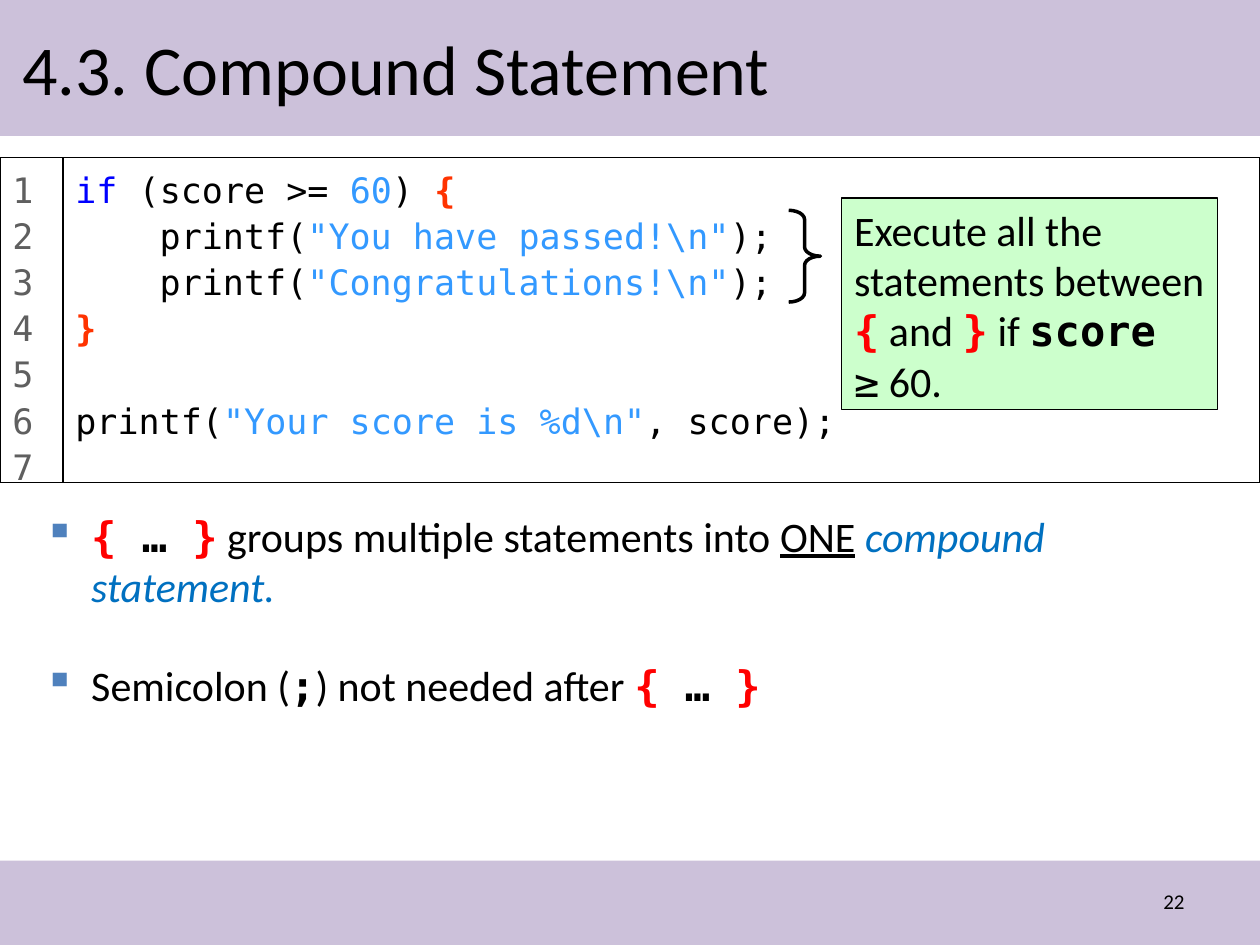
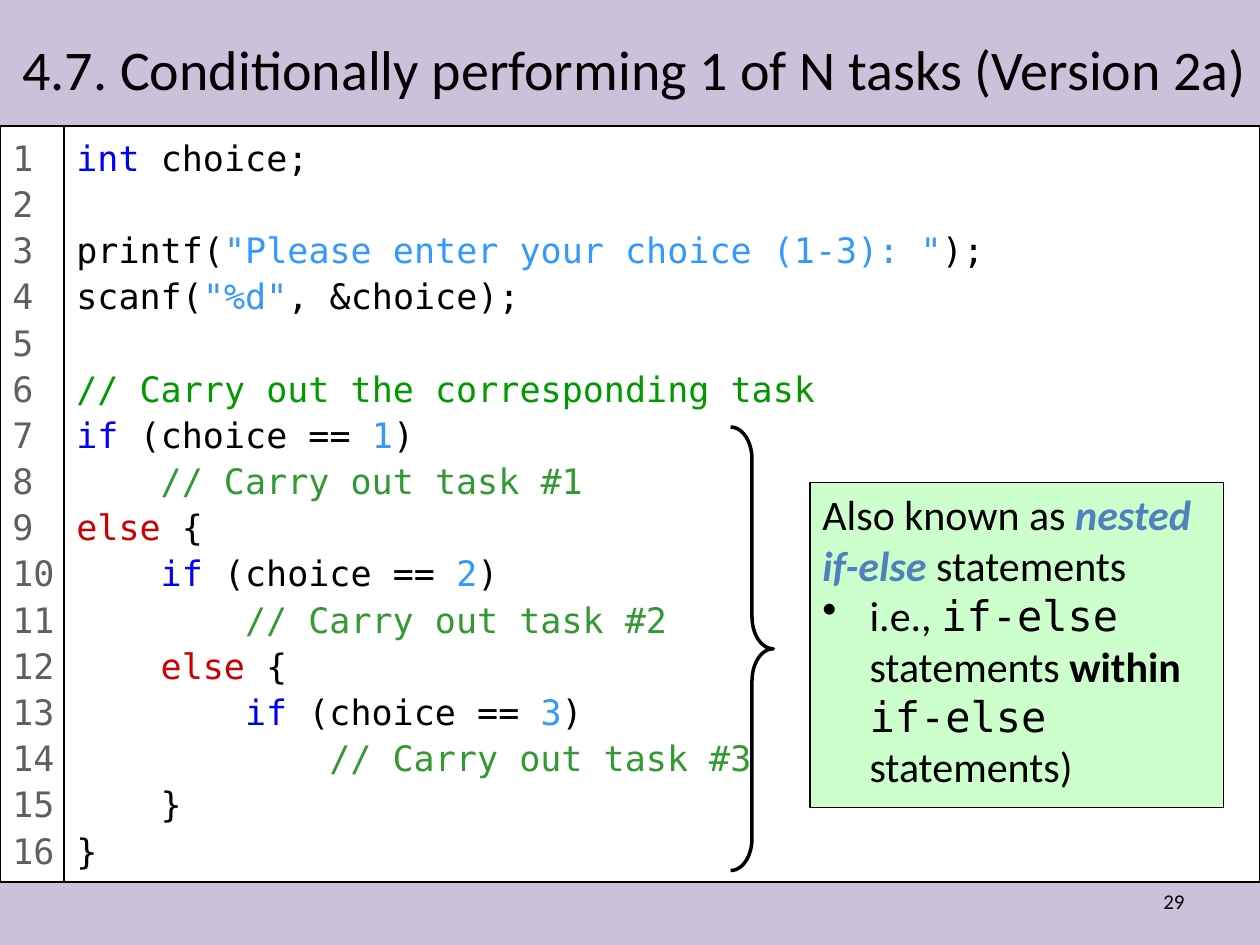
import dataclasses

import lxml.etree
import pptx
import pptx.dml.color
import pptx.enum.shapes
import pptx.enum.text
import pptx.oxml.ns
import pptx.util

Cm = pptx.util.Cm
Pt = pptx.util.Pt
Shape = pptx.enum.shapes.MSO_SHAPE
Align = pptx.enum.text.PP_ALIGN
Anchor = pptx.enum.text.MSO_ANCHOR


@dataclasses.dataclass(frozen=True)
class Theme:
    """Colours, fonts and type sizes shared by the slides."""
    ink: str = "000000"
    paper: str = "FFFFFF"
    band: str = "CCC1DA"
    callout: str = "CCFFCC"
    accent: str = "4F81BD"
    term: str = "0070C0"
    red: str = "FF0000"
    number: str = "5F5F5F"
    keyword: str = "0000FF"
    literal: str = "3399FF"
    brace: str = "FF3300"
    comment: str = "009900"
    task: str = "339933"
    branch: str = "CC0000"
    sans: str = "Calibri"
    mono: str = "DejaVu Sans Mono"
    title_size: float = 40
    long_title_size: float = 32
    body_size: float = 24
    code_size: float = 20
    footer_size: float = 12
    code_spacing: float = 1.1
    code_pitch: float = 26.4
    code_indent: float = 1.7
    hanging: float = 0.95


THEME = Theme()
MONO = {"font": THEME.mono}
MONO_BOLD = {"font": THEME.mono, "bold": True}
RED_BRACE = {"font": THEME.mono, "bold": True, "color": THEME.red}
KEYWORD = {"color": THEME.keyword}
LITERAL = {"color": THEME.literal}
CODE_BRACE = {"color": THEME.brace, "bold": True}
COMMENT = {"color": THEME.comment}
TASK = {"color": THEME.task}
BRANCH = {"color": THEME.branch}


def rgb(color):
    """Turn a hex string into a colour."""
    return pptx.dml.color.RGBColor.from_string(color)


def add_span(para, text, font=THEME.sans, size=THEME.body_size, color=THEME.ink,
             bold=False, italic=False, underline=False):
    """Append one formatted run to a paragraph."""
    span = para.add_run()
    span.text = text
    span.font.name = font
    span.font.size = Pt(size)
    span.font.color.rgb = rgb(color)
    span.font.bold = bold
    span.font.italic = italic
    span.font.underline = underline


def add_spans(para, spans, **base):
    """Append runs given as plain strings or (text, format) pairs."""
    for span in spans:
        text, style = (span, {}) if isinstance(span, str) else span
        add_span(para, text, **{**base, **style})


def next_para(frame, first):
    """Return the paragraph to fill next, aligned left."""
    para = frame.paragraphs[0] if first else frame.add_paragraph()
    para.alignment = Align.LEFT
    return para


def set_bullet(para, mark, color):
    """Give a paragraph a bullet with a hanging indent."""
    props = para._p.get_or_add_pPr()
    props.set("marL", str(Cm(THEME.hanging)))
    props.set("indent", str(-Cm(THEME.hanging)))
    qn = pptx.oxml.ns.qn
    tint = lxml.etree.SubElement(props, qn("a:buClr"))
    lxml.etree.SubElement(tint, qn("a:srgbClr")).set("val", color)
    lxml.etree.SubElement(props, qn("a:buChar")).set("char", mark)


def add_panel(page, left, top, width, height, fill, outlined=True):
    """Draw a filled rectangle and return it ready for text."""
    panel = page.shapes.add_shape(Shape.RECTANGLE, Cm(left), Cm(top),
                                  Cm(width), Cm(height))
    panel.shadow.inherit = False
    panel.fill.solid()
    panel.fill.fore_color.rgb = rgb(fill)
    if outlined:
        panel.line.color.rgb = rgb(THEME.ink)
        panel.line.width = Pt(0.75)
    else:
        panel.line.fill.background()
    panel.text_frame.word_wrap = True
    panel.text_frame.vertical_anchor = Anchor.TOP
    return panel


def add_text_box(page, left, top, width, height):
    """Add a wrapping text box and return its frame."""
    box = page.shapes.add_textbox(Cm(left), Cm(top), Cm(width), Cm(height))
    box.text_frame.word_wrap = True
    return box.text_frame


def add_bands(page, layout):
    """Place the top and bottom bands on the layout, behind everything."""
    for top, height in ((0, 2.74), (17.35, 1.7)):
        band = add_panel(page, 0, top, 25.4, height, THEME.band, outlined=False)
        layout.shapes.element.insert(2, band.element)


def add_page(deck, title, number, size, width):
    """Add a slide with its title and page number."""
    page = deck.slides.add_slide(deck.slide_layouts[5])
    box = page.shapes.title
    box.left, box.top, box.width, box.height = Cm(0.2), Cm(0.2), Cm(width), Cm(2.34)
    frame = box.text_frame
    frame.auto_size = pptx.enum.text.MSO_AUTO_SIZE.NONE
    frame.vertical_anchor = Anchor.MIDDLE
    add_span(next_para(frame, True), title, size=size)

    footer = add_text_box(page, 18.21, 17.65, 5.92, 1.02)
    footer.vertical_anchor = Anchor.MIDDLE
    para = next_para(footer, True)
    para.alignment = Align.RIGHT
    add_span(para, str(number), size=THEME.footer_size)
    return page


def add_code(page, top, height, gutter, lines, last_number):
    """Draw a code listing; a line is (level, *spans), None a blank line."""
    code = add_panel(page, gutter, top, 25.4 - gutter, height, THEME.paper).text_frame
    blanks = 0
    for index, line in enumerate(lines):
        if line is None:
            blanks += 1
            continue
        level, *spans = line
        para = next_para(code, index == 0)
        para.line_spacing = THEME.code_spacing
        para.space_before = Pt(blanks * THEME.code_pitch)
        para._p.get_or_add_pPr().set("marL", str(Cm(level * THEME.code_indent)))
        add_spans(para, spans, font=THEME.mono, size=THEME.code_size)
        blanks = 0

    numbers = add_panel(page, 0, top, gutter, height, THEME.paper).text_frame
    numbers.margin_right = 0
    for number in range(1, last_number + 1):
        para = next_para(numbers, number == 1)
        para.line_spacing = THEME.code_spacing
        add_span(para, str(number), font=THEME.mono, size=THEME.code_size,
                 color=THEME.number)


def add_brace(page, left, top, width, height, curl):
    """Draw a right brace that points at a callout."""
    brace = page.shapes.add_shape(Shape.RIGHT_BRACE, Cm(left), Cm(top),
                                  Cm(width), Cm(height))
    brace.shadow.inherit = False
    brace.fill.background()
    brace.line.color.rgb = rgb(THEME.ink)
    brace.line.width = Pt(2)
    brace.adjustments[0] = curl
    brace.adjustments[1] = 0.5


def add_callout(page, left, top, width, height, lead, item=()):
    """Draw a green note with a lead paragraph and an optional bullet."""
    frame = add_panel(page, left, top, width, height, THEME.callout).text_frame
    add_spans(next_para(frame, True), lead)
    if item:
        para = next_para(frame, False)
        set_bullet(para, "\u2022", THEME.ink)
        add_spans(para, item)


def add_bullets(page, left, top, width, height, items):
    """Add square bullets; an item is (space before, spans)."""
    frame = add_text_box(page, left, top, width, height)
    for index, (space, spans) in enumerate(items):
        para = next_para(frame, index == 0)
        set_bullet(para, "\u25aa", THEME.accent)
        para.space_before = Pt(space)
        add_spans(para, spans)


def build_compound_statement(deck):
    """Build the slide on compound statements."""
    page = add_page(deck, "4.3. Compound Statement", 22, THEME.title_size, 24.46)
    add_bands(page, page.slide_layout)
    add_code(page, 3.18, 6.55, 1.27, [
        (0, ("if", KEYWORD), " (score >= ", ("60", LITERAL), ") ", ("{", CODE_BRACE)),
        (1, "printf(", ('"You have passed!\\n"', LITERAL), ");"),
        (1, "printf(", ('"Congratulations!\\n"', LITERAL), ");"),
        (0, ("}", CODE_BRACE)),
        None,
        (0, "printf(", ('"Your score is %d\\n"', LITERAL), ", score);"),
    ], last_number=7)
    group = [("{ ", RED_BRACE), ("\u2026 ", MONO_BOLD), ("}", RED_BRACE)]
    add_bullets(page, 0.64, 10.16, 24.43, 5.13, [
        (5, [*group, " groups multiple statements into ",
             ("ONE", {"underline": True}), " ",
             ("compound statement.", {"color": THEME.term, "italic": True})]),
        (27.7, ["Semicolon (", (";", MONO_BOLD), ") not needed after ", *group]),
    ])
    add_brace(page, 15.9, 4.24, 0.64, 1.85, 0.29)
    add_callout(page, 16.97, 3.99, 7.57, 4.27, [
        "Execute all the statements between ", ("{", RED_BRACE), " and ",
        ("}", RED_BRACE), " if ", ("score ", MONO_BOLD), ("\u2265", MONO), " 60."])


def build_nested_if(deck):
    """Build the slide on choosing one of several tasks."""
    page = add_page(deck, "4.7. Conditionally performing 1 of N tasks (Version 2a)",
                    29, THEME.long_title_size, 25.3)
    lines = [
        (0, ("int", KEYWORD), " choice;"),
        None,
        (0, "printf(", ('"Please enter your choice (1-3): "', LITERAL), ");"),
        (0, "scanf(", ('"%d"', LITERAL), ", &choice);"),
        None,
        (0, ("// Carry out the corresponding task", COMMENT)),
    ]
    for level in range(3):
        task = str(level + 1)
        lines.append((level, ("if", KEYWORD), " (choice == ", (task, LITERAL), ")"))
        lines.append((level + 1, (f"// Carry out task #{task}", TASK)))
        if level < 2:
            lines.append((level, ("else ", BRANCH), "{"))
    lines += [(1, "}"), (0, "}")]
    add_code(page, 2.54, 15.24, 1.29, lines, last_number=len(lines))
    add_brace(page, 14.73, 8.61, 0.86, 8.94, 0.75)
    add_callout(page, 16.33, 9.73, 8.33, 6.55, [
        "Also known as ",
        ("nested if-else ", {"color": THEME.accent, "bold": True, "italic": True}),
        "statements",
    ], item=["i.e., ", ("if-else ", MONO), "statements ", ("within ", {"bold": True}),
             ("if-else ", MONO), "statements)"])


def main():
    """Build the deck and save it."""
    deck = pptx.Presentation()
    deck.slide_width, deck.slide_height = Cm(25.4), Cm(19.05)
    build_compound_statement(deck)
    build_nested_if(deck)
    deck.save("out.pptx")


main()
